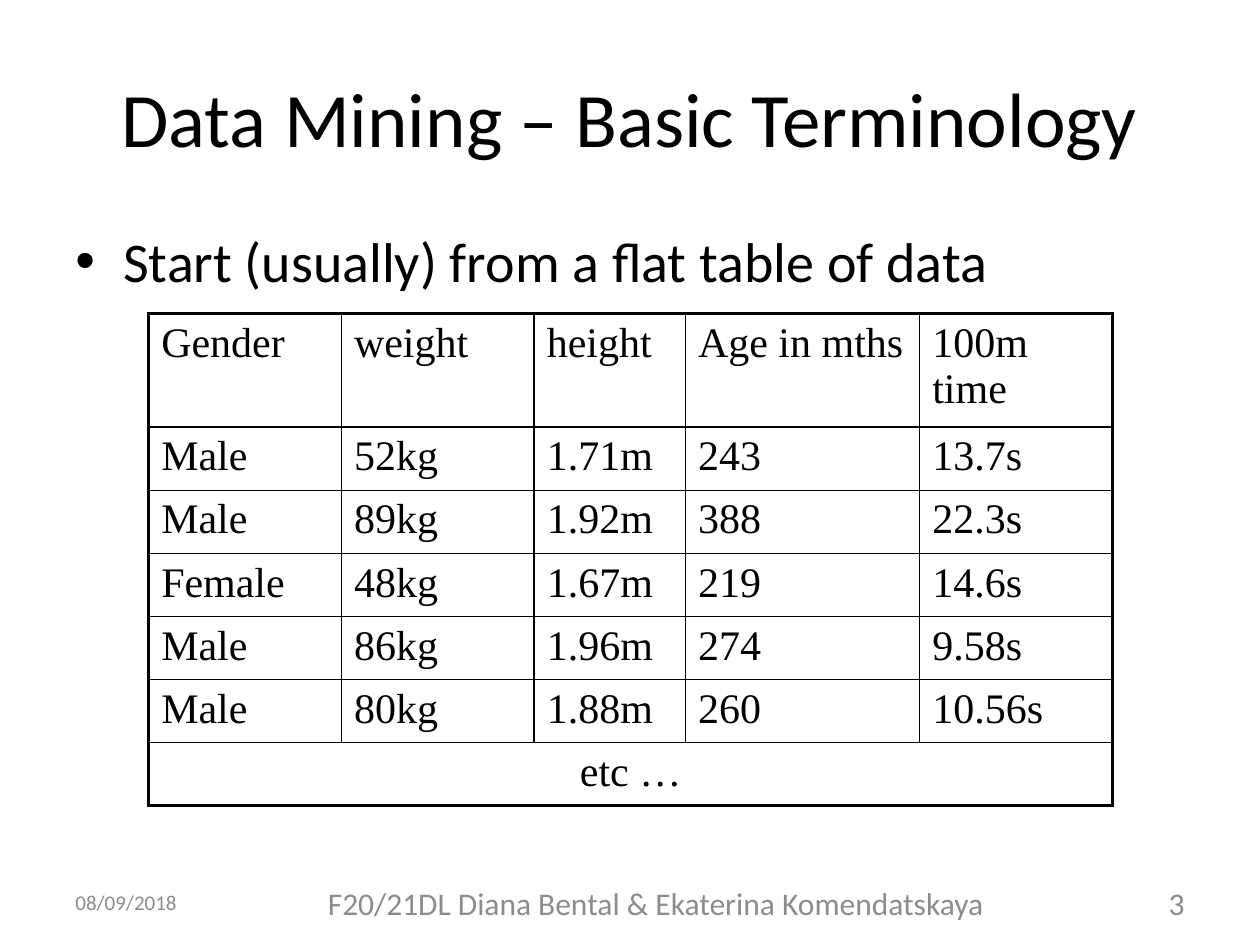
from lxml.etree import SubElement
from pptx import Presentation
from pptx.dml.color import RGBColor
from pptx.enum.text import MSO_ANCHOR, PP_ALIGN
from pptx.oxml.ns import qn
from pptx.util import Inches, Pt

BLACK = RGBColor(0x00, 0x00, 0x00)
GREY = RGBColor(0x8C, 0x8C, 0x8C)
CELL = 0.5  # grid step in inches: 20 columns by 15 rows
THIN, THICK = 1, 2.25

HEAD = ["Gender", "weight", "height", "Age in mths", "100m time"]
DATA = [
    ["Male", "52kg", "1.71m", "243", "13.7s"],
    ["Male", "89kg", "1.92m", "388", "22.3s"],
    ["Female", "48kg", "1.67m", "219", "14.6s"],
    ["Male", "86kg", "1.96m", "274", "9.58s"],
    ["Male", "80kg", "1.88m", "260", "10.56s"],
]
MORE = "etc …"


def grid(n):
    return Inches(n * CELL)


def style(item, **vals):
    for name, val in vals.items():
        setattr(item, name, val)


class Deck:
    sans, serif = "Calibri", "Times New Roman"

    def __init__(self):
        self.prs = Presentation()
        style(self.prs, slide_width=grid(20), slide_height=grid(15))
        self.slide = self.prs.slides.add_slide(self.prs.slide_layouts[5])

    def label(self, frame, text, size, color=BLACK, face=sans, align=PP_ALIGN.LEFT):
        par = frame.paragraphs[0]
        par.alignment = align
        run = par.add_run()
        run.text = text
        style(run.font, size=Pt(size), name=face)
        run.font.color.rgb = color
        return par

    def title(self, box, text):
        shape = self.slide.shapes.title
        style(shape, **dict(zip(("left", "top", "width", "height"), map(grid, box))))
        shape.text_frame.vertical_anchor = MSO_ANCHOR.MIDDLE
        self.label(shape.text_frame, text, 44, align=PP_ALIGN.CENTER)

    def text(self, box, text, size, anchor=MSO_ANCHOR.MIDDLE, **look):
        frame = self.slide.shapes.add_textbox(*map(grid, box)).text_frame
        style(frame, word_wrap=True, vertical_anchor=anchor)
        return self.label(frame, text, size, **look)

    def bullet(self, box, text):
        props = self.text(box, text, 32, MSO_ANCHOR.TOP)._p.get_or_add_pPr()
        props.set("marL", str(Inches(0.38)))
        props.set("indent", str(Inches(-0.38)))
        SubElement(props, qn("a:buFont"), typeface="Arial")
        SubElement(props, qn("a:buChar"), char="•")

    def border(self, cell, widths):
        props = cell._tc.get_or_add_tcPr()
        for side, width in zip("LRTB", widths):
            line = SubElement(props, qn(f"a:ln{side}"), w=str(Pt(width)))
            fill = SubElement(line, qn("a:solidFill"))
            SubElement(fill, qn("a:srgbClr"), val=str(BLACK))

    def table(self, spot, cols, rows, data, more):
        size = sum(cols), sum(rows)
        table = self.slide.shapes.add_table(
            len(rows), len(cols), *map(grid, (*spot, *size))).table
        style(table, first_row=False, horz_banding=False)
        for col, width in zip(table.columns, cols):
            col.width = grid(width)
        for row, height in zip(table.rows, rows):
            row.height = grid(height)

        # Thick outline, thin inner lines; the last row is one merged cell
        end, foot = len(cols) - 1, len(rows) - 1
        for r in range(foot + 1):
            for c in range(end + 1):
                cell = table.cell(r, c)
                edges = (c == 0 or r == foot, c == end or r == foot,
                         r == 0, r == foot)
                self.border(cell, [THICK if edge else THIN for edge in edges])
                cell.fill.background()
                if r < foot:
                    self.label(cell.text_frame, data[r][c], 24, face=self.serif)
        last = table.cell(foot, 0)
        last.merge(table.cell(foot, end))
        self.label(last.text_frame, more, 24, face=self.serif, align=PP_ALIGN.CENTER)


def main():
    deck = Deck()

    # Title and lead line
    deck.title((1, 0.6, 18, 2.5), "Data Mining – Basic Terminology")
    deck.bullet((1, 3.5, 18, 9.9), "Start (usually) from a flat table of data")

    # Data table
    deck.table((2.36, 4.98), [3.06, 3.06, 2.4, 3.72, 3.06], [1.8] + [1] * 6,
               [HEAD] + DATA, MORE)

    # Footer
    deck.text((1, 13.9, 2.38, 0.84), "08/09/2018", 12, color=GREY)
    deck.text((3.72, 13.96, 13.38, 0.74),
              "F20/21DL Diana Bental & Ekaterina Komendatskaya", 18,
              color=GREY, align=PP_ALIGN.CENTER)
    deck.text((17.56, 13.96, 1.44, 0.74), "3", 18, color=GREY, align=PP_ALIGN.RIGHT)

    deck.prs.save("out.pptx")


if __name__ == "__main__":
    main()
